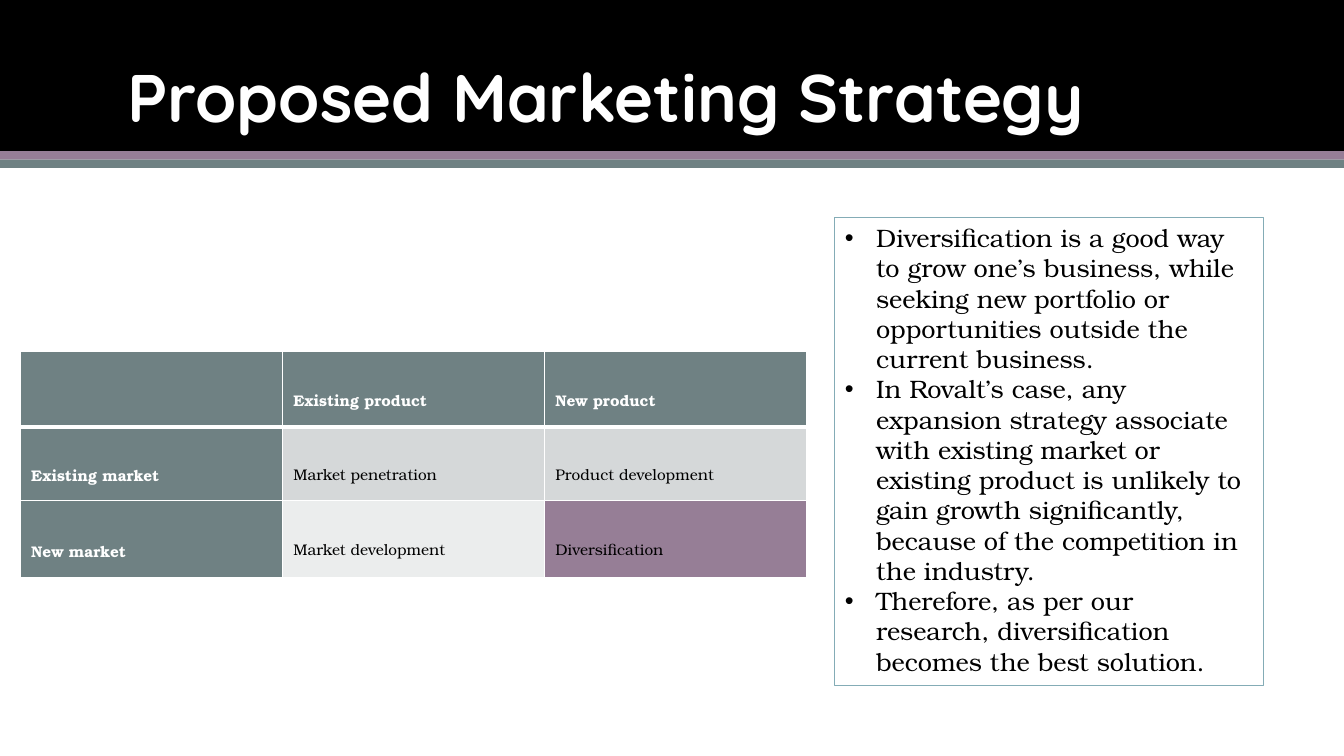
from lxml.etree import SubElement
from pptx import Presentation
from pptx.dml.color import RGBColor
from pptx.enum.shapes import MSO_SHAPE as Shape
from pptx.enum.text import MSO_ANCHOR as Anchor, MSO_AUTO_SIZE as AutoSize, PP_ALIGN as Align
from pptx.oxml.ns import qn
from pptx.util import Inches, Pt

UNIT = Inches(1) / 12
COLUMNS, ROWS = 160, 90
COLORS = {"black": "000000", "white": "FFFFFF", "mauve": "967E96", "slate": "6F8183",
          "band": "D5D8D9", "pale": "EBEDED", "frame": "84ACB6"}
BODY_FONT = "TeX Gyre Bonum"
MATRIX = [["", "Existing product", "New product"],
          ["Existing market", "Market penetration", "Product development"],
          ["New market", "Market development", "Diversification"]]
MATRIX_FILLS = [["slate", "slate", "slate"], ["slate", "band", "band"], ["slate", "pale", "mauve"]]
POINTS = [
    "Diversification is a good way to grow one’s business, while seeking new portfolio or "
    "opportunities outside the current business.",
    "In Rovalt’s case, any expansion strategy associate with existing market or existing product "
    "is unlikely to gain growth significantly, because of the competition in the industry.",
    "Therefore, as per our research, diversification becomes the best solution.",
]


def grid(*counts):
    """Turn counts of grid columns or rows into lengths."""
    return [round(count * UNIT) for count in counts]


def rgb(name):
    """Look up a named colour."""
    return RGBColor.from_string(COLORS[name])


def write(frame, *lines, size, color="black", font=BODY_FONT, bold=False, spacing=1.0, bullet=None):
    """Fill a text frame with one formatted paragraph per line."""
    frame.word_wrap = True
    for index, line in enumerate(lines):
        paragraph = frame.add_paragraph() if index else frame.paragraphs[0]
        paragraph.alignment = Align.LEFT
        paragraph.line_spacing = spacing
        if bullet:
            properties = paragraph._p.get_or_add_pPr()
            properties.set("marL", str(Inches(0.31)))
            properties.set("indent", str(-Inches(0.31)))
            SubElement(properties, qn("a:buFont"), typeface="Arial")
            SubElement(properties, qn("a:buChar"), char=bullet)
        run = paragraph.add_run()
        run.text = line
        run.font.size, run.font.name, run.font.bold = Pt(size), font, bold
        run.font.color.rgb = rgb(color)


def add_box(slide, place, fill=None, line=None):
    """Add a rectangle with an optional fill and outline."""
    box = slide.shapes.add_shape(Shape.RECTANGLE, *grid(*place))
    box.shadow.inherit = False
    if fill:
        box.fill.solid()
        box.fill.fore_color.rgb = rgb(fill)
    else:
        box.fill.background()
    if line:
        box.line.color.rgb = rgb(line)
        box.line.width = Pt(0.75)
    else:
        box.line.fill.background()
    return box


def add_title(slide, place, title):
    """Add the slide title over the header."""
    frame = slide.shapes.add_textbox(*grid(*place)).text_frame
    frame.vertical_anchor = Anchor.MIDDLE
    write(frame, title, size=48, color="white", font="Quicksand", bold=True, spacing=0.9)


def outline_cell(cell, bottom):
    """Draw white borders around a cell."""
    properties = cell._tc.get_or_add_tcPr()
    for side, width in {"lnL": 1, "lnR": 1, "lnT": 1, "lnB": bottom}.items():
        border = SubElement(properties, qn(f"a:{side}"), w=str(Pt(width)))
        SubElement(SubElement(border, qn("a:solidFill")), qn("a:srgbClr"), val=COLORS["white"])


def add_matrix(slide, place, widths, heights):
    """Add the product and market matrix."""
    matrix = slide.shapes.add_table(len(MATRIX), len(MATRIX[0]), *grid(*place)).table
    for column, width in zip(matrix.columns, grid(*widths)):
        column.width = width
    for row, height in zip(matrix.rows, grid(*heights)):
        row.height = height
    for r, labels in enumerate(MATRIX):
        for c, label in enumerate(labels):
            cell = matrix.cell(r, c)
            heading = r == 0 or c == 0
            outline_cell(cell, bottom=3 if r == 0 else 1)
            cell.fill.solid()
            cell.fill.fore_color.rgb = rgb(MATRIX_FILLS[r][c])
            cell.vertical_anchor = Anchor.MIDDLE
            cell.margin_left = cell.margin_right = Inches(0.11)
            cell.margin_top = cell.margin_bottom = 0
            if label:
                write(cell.text_frame, label, size=11, bold=heading, spacing=2.0,
                      color="white" if heading else "black")


def add_points(slide, place):
    """Add the framed list of arguments."""
    frame = add_box(slide, place, line="frame").text_frame
    frame.vertical_anchor = Anchor.TOP
    write(frame, *POINTS, size=18, bullet="•")
    frame.auto_size = AutoSize.SHAPE_TO_FIT_TEXT


def main():
    """Build and save the marketing strategy slide."""
    deck = Presentation()
    deck.slide_width, deck.slide_height = grid(COLUMNS, ROWS)
    slide = deck.slides.add_slide(deck.slide_layouts[6])
    for fill, top, height in [("black", 0, 18), ("mauve", 18, 1), ("slate", 19, 1)]:
        add_box(slide, (0, top, COLUMNS, height), fill=fill)
    add_title(slide, (14, 1.5, 132, 21), "Proposed Marketing Strategy")
    add_matrix(slide, (2.4, 41.8, 93.6, 27), widths=(31.2, 31.2, 31.2), heights=(9, 8.8, 9.2))
    add_points(slide, (99.4, 25.9, 51, 55.7))
    deck.save("out.pptx")


if __name__ == "__main__":
    main()
